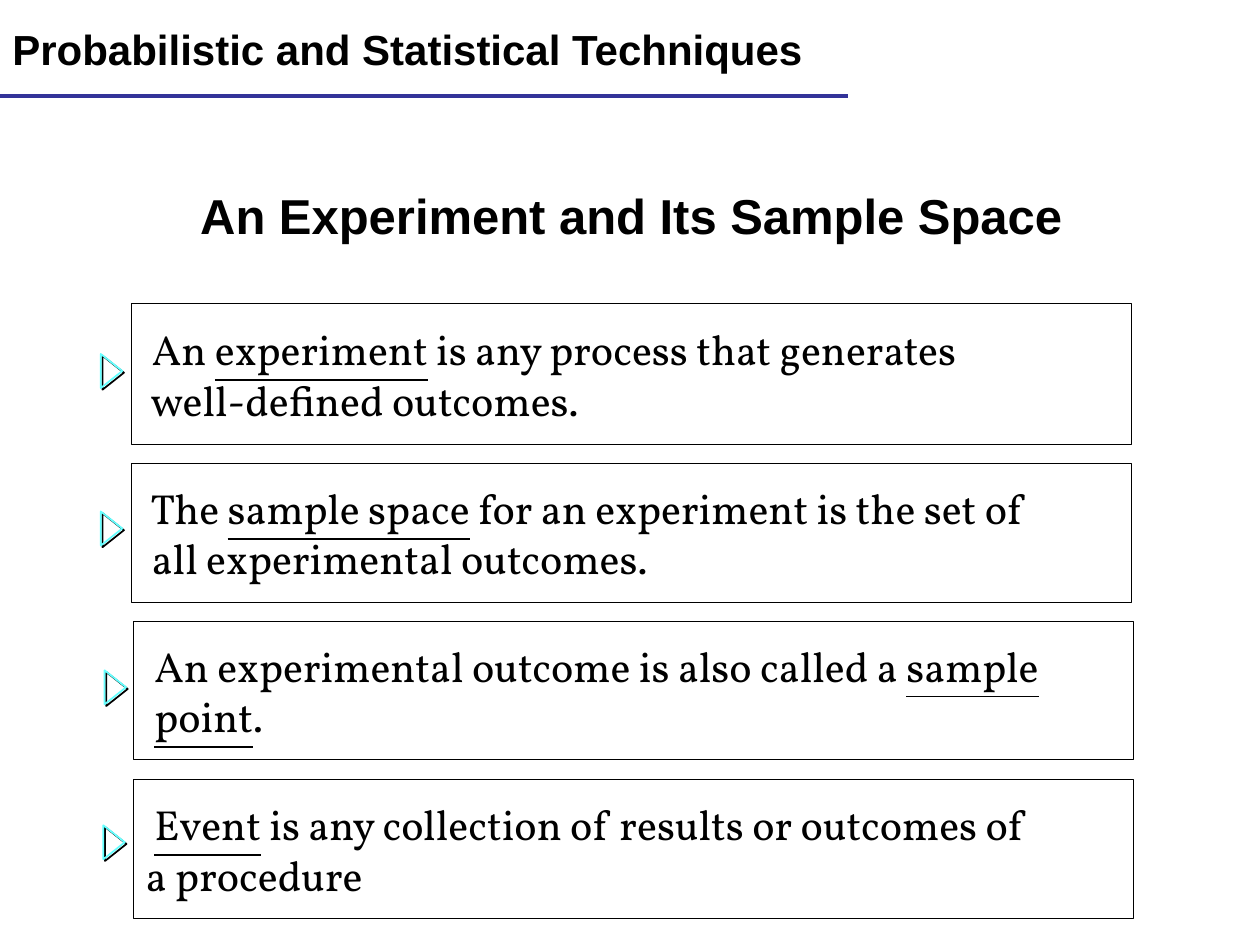
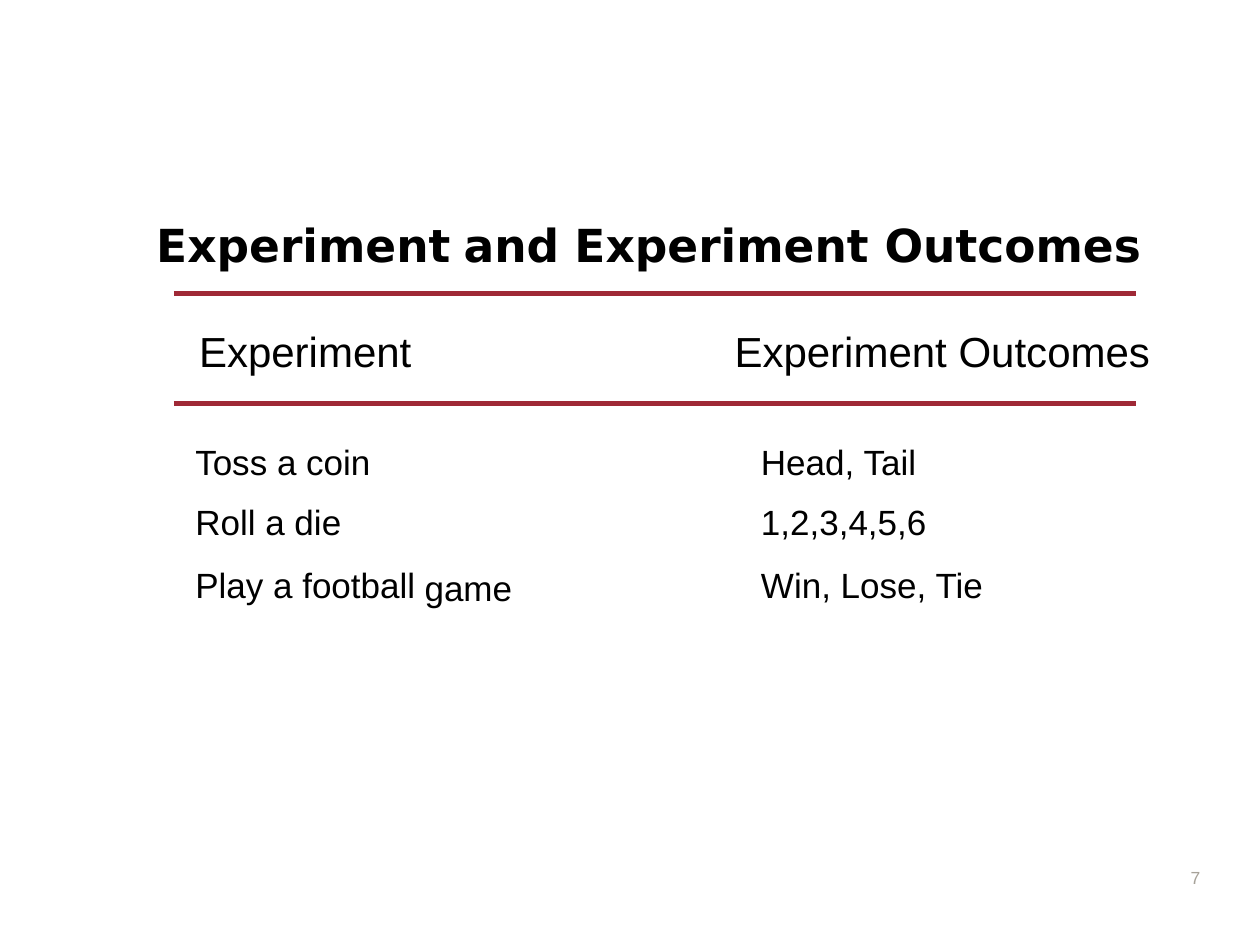
from lxml.etree import SubElement
from pptx import Presentation
from pptx.dml.color import RGBColor
from pptx.enum.shapes import MSO_CONNECTOR, MSO_SHAPE
from pptx.enum.text import MSO_ANCHOR, PP_ALIGN
from pptx.oxml.ns import qn
from pptx.util import Inches, Pt

BLACK = RGBColor(0x00, 0x00, 0x00)
BLUE = RGBColor(0x33, 0x33, 0x99)
CYAN = RGBColor(0x66, 0xFF, 0xFF)
RED = RGBColor(0x9F, 0x29, 0x36)
GRAY = RGBColor(0xA7, 0xA2, 0x99)

# Each term: box left, top, height, marker left, marker top, lines.
# A line is a list of runs; odd runs are underlined.
TERMS = [
    (1.04, 2.41, 1.12, 0.75, 2.86,
     [[" An ", "experiment", " is any process that generates"],
      [" well-defined outcomes."]]),
    (1.04, 3.68, 1.1, 0.75, 4.11,
     [[" The ", "sample space", " for an experiment is the set of"],
      [" all experimental outcomes."]]),
    (1.06, 4.93, 1.1, 0.78, 5.37,
     [[" An experimental outcome is also called a ", "sample"],
      [" ", "point", "."]]),
    (1.06, 6.19, 1.1, 0.77, 6.6,
     [[" ", "Event", " is any collection of results or outcomes of"],
      ["a procedure"]]),
]
TITLE = [("Experiment", 1.23, 2.41), ("and", 3.67, 0.83),
         ("Experiment Outcomes", 4.55, 4.56)]
HEADS = [("Experiment", 1.57, 1.76), ("Experiment Outcomes", 5.82, 3.38)]
COLUMNS = [
    (1.54, ["Toss a coin", "Roll a die", "Play a football"]),
    (6.03, ["Head, Tail", "1,2,3,4,5,6", "Win, Lose, Tie"]),
]


def style(para, size, name="Arial", bold=False, color=BLACK):
    font = para.font
    font.size, font.name, font.bold = Pt(size), name, bold
    font.color.rgb = color


def add_box(slide, left, top, width, height):
    box = slide.shapes.add_textbox(
        Inches(left), Inches(top), Inches(width), Inches(height))
    box.text_frame.word_wrap = True
    return box.text_frame


def add_title(slide, text, left, top, width, height, size, align):
    frame = add_box(slide, left, top, width, height)
    frame.vertical_anchor = MSO_ANCHOR.MIDDLE
    para = frame.paragraphs[0]
    para.text, para.alignment = text, align
    style(para, size, bold=True)


def add_label(slide, lines, left, top, width, height, size, lead,
              gaps=(0,), inset=0.02, **look):
    """Place tight text: exact leading first, then 0.96 lines after gaps."""
    frame = add_box(slide, left, top, width, height)
    frame.margin_left = frame.margin_right = frame.margin_bottom = 0
    frame.margin_top = Inches(inset)
    for i, (text, gap) in enumerate(zip(lines, gaps)):
        para = frame.add_paragraph() if i else frame.paragraphs[0]
        para.text = text
        para.space_before = Pt(gap)
        para.line_spacing = 0.96 if i else Pt(lead)
        para._p.get_or_add_pPr().set("marL", str(Inches(0.01)))
        style(para, size, **look)


def add_rule(slide, left, right, top, color, weight):
    rule = slide.shapes.add_connector(
        MSO_CONNECTOR.STRAIGHT, Inches(left), Inches(top),
        Inches(right), Inches(top))
    rule.line.color.rgb = color
    rule.line.width = Pt(weight)
    SubElement(rule._element.spPr, qn("a:effectLst"))


def add_shape(slide, kind, left, top, width, height, color, weight):
    """Add an outlined shape with no fill or shadow."""
    shape = slide.shapes.add_shape(
        kind, Inches(left), Inches(top), Inches(width), Inches(height))
    shape.fill.background()
    shape.line.color.rgb = color
    shape.line.width = Pt(weight)
    shape.shadow.inherit = False
    return shape


def add_term(slide, left, top, height, lines):
    box = add_shape(slide, MSO_SHAPE.RECTANGLE, left, top, 7.94, height,
                    BLACK, 0.5)
    frame = box.text_frame
    frame.word_wrap = False
    frame.vertical_anchor = MSO_ANCHOR.MIDDLE
    for i, runs in enumerate(lines):
        para = frame.add_paragraph() if i else frame.paragraphs[0]
        para.alignment = PP_ALIGN.LEFT
        style(para, 24, "Vollkorn")
        for j, text in enumerate(runs):
            run = para.add_run()
            run.text = text
            if j % 2:
                run.font.underline = True


def add_marker(slide, left, top):
    mark = add_shape(slide, MSO_SHAPE.ISOSCELES_TRIANGLE, left, top,
                     0.27, 0.17, CYAN, 1)
    mark.rotation = 90
    effects = mark._element.spPr.find(qn("a:effectLst"))
    shadow = SubElement(effects, qn("a:outerShdw"), dist=str(Pt(1.4)),
                        dir=str(45 * 60000), algn="ctr", rotWithShape="0")
    SubElement(shadow, qn("a:srgbClr"), val=str(BLACK))


def build_terms(slide):
    add_title(slide, "An Experiment and Its Sample Space",
              0.76, 1.23, 8.5, 0.95, 28, PP_ALIGN.CENTER)
    for left, top, height, mark_left, mark_top, lines in TERMS:
        add_term(slide, left, top, height, lines)
        add_marker(slide, mark_left, mark_top)
    add_title(slide, "Probabilistic and Statistical Techniques",
              0, 0, 8.25, 0.78, 24, PP_ALIGN.LEFT)
    add_rule(slide, 0, 6.73, 0.76, BLUE, 2.25)


def build_outcomes(slide):
    for top in (2.33, 3.2):
        add_rule(slide, 1.38, 9.02, top, RED, 3)
    for text, left, width in TITLE:
        add_label(slide, [text], left, 1.75, width, 0.39, 26, 28,
                  name="DejaVu Sans", bold=True)
    for text, left, width in HEADS:
        add_label(slide, [text], left, 2.61, width, 0.36, 24, 25.6)
    for left, lines in COLUMNS:
        add_label(slide, lines, left, 3.52, 1.83, 1.31, 20, 21.5,
                  gaps=(0, 11.9, 13), inset=0.01)
    add_label(slide, ["game"], 3.36, 4.52, 0.77, 0.31, 20, 21.5, inset=0.01)
    add_label(slide, ["7"], 9.44, 6.88, 0.13, 0.17, 10, 11.2, inset=0.01,
              color=GRAY)


def main():
    deck = Presentation()
    deck.slide_width, deck.slide_height = Inches(10), Inches(7.5)
    for build in (build_terms, build_outcomes):
        build(deck.slides.add_slide(deck.slide_layouts[6]))
    deck.save("out.pptx")


if __name__ == "__main__":
    main()
